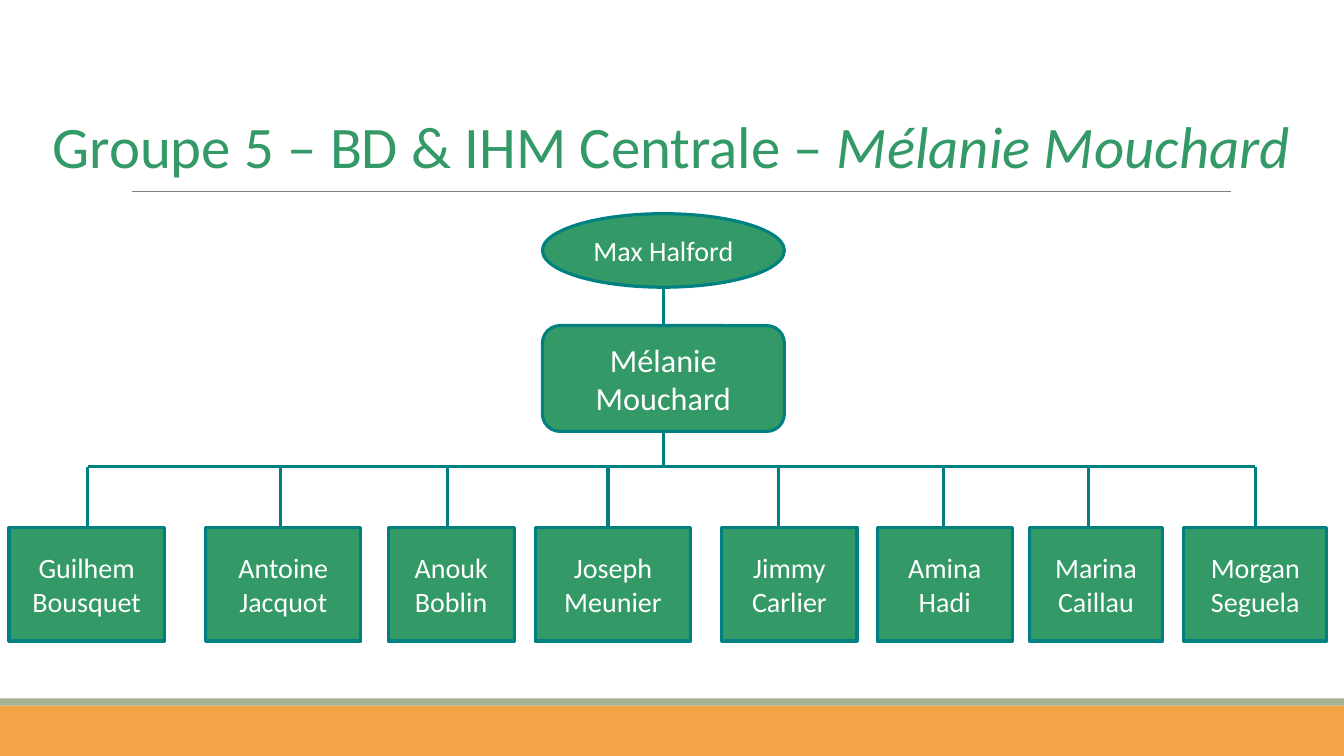
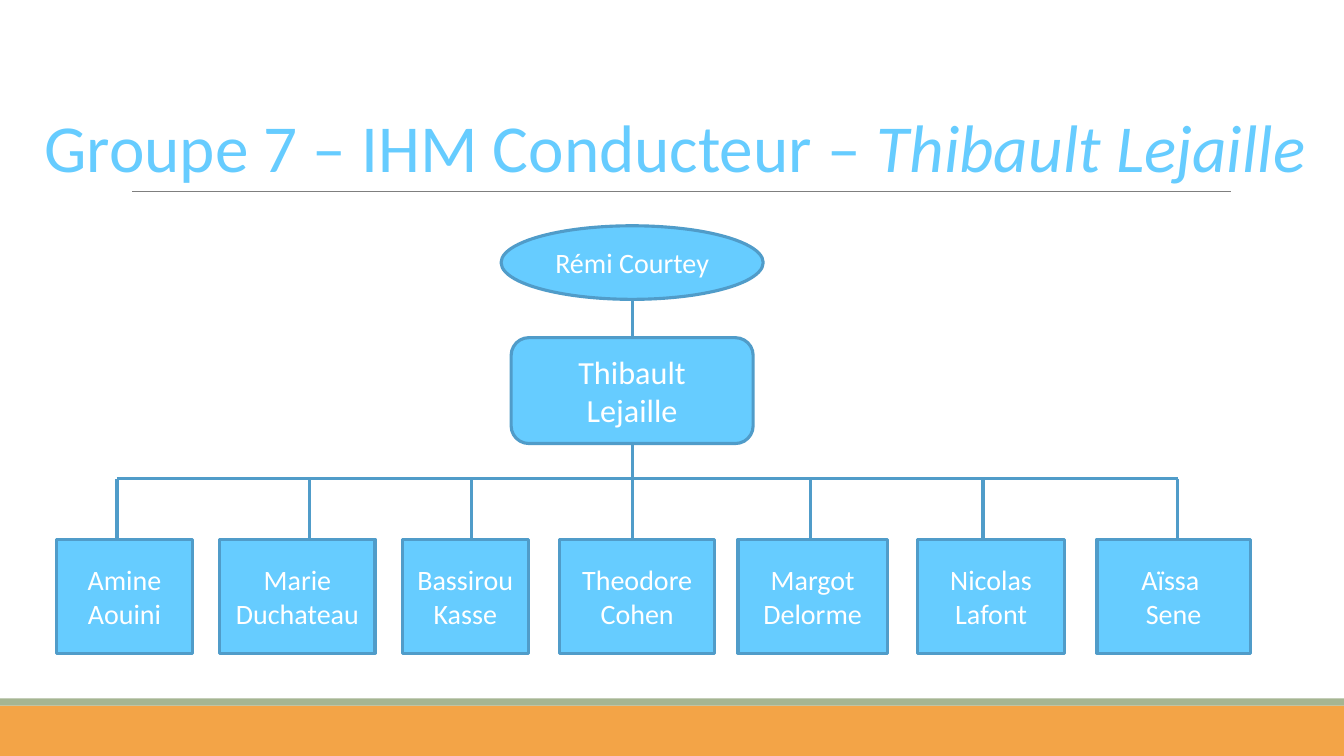
"""Build two team organisation charts that share one slide style."""
from lxml.etree import SubElement
from pptx import Presentation
from pptx.dml.color import RGBColor
from pptx.enum.shapes import MSO_CONNECTOR as Connector, MSO_SHAPE as Preset
from pptx.enum.text import MSO_ANCHOR as Anchor, MSO_AUTO_SIZE as AutoSize, PP_ALIGN as Align
from pptx.oxml.ns import qn
from pptx.util import Inches, Pt

COLORS = {
    "band": "F3A447",
    "stripe": "A5B592",
    "rule": "7F7F7F",
    "text": "FFFFFF",
    "green": "339966",
    "teal": "008080",
    "sky": "66CCFF",
    "steel": "509CC9",
}
FONT = "Calibri"
SLIDE_WIDTH, SLIDE_HEIGHT = 13.33, 7.5
SPONSOR_HEIGHT = 0.73
LEAD_WIDTH, LEAD_HEIGHT = 2.4, 1.05
MEMBER_HEIGHT = 1.13
LEAD_DROP, BUS_DROP, MEMBER_DROP = 1.11, 2.51, 3.11

TEAMS = [
    {
        "title": "Groupe 5 – BD & IHM Centrale – ",
        "title_box": (0.42, 0.84, 12.68, 1),
        "title_size": 42,
        "manager": "Mélanie Mouchard",
        "fill": "green",
        "line": "teal",
        "axis": 6.58,
        "top": 2.12,
        "sponsor": "Max Halford",
        "sponsor_width": 2.4,
        "lead": "Mélanie Mouchard",
        "members": [
            ("Guilhem Bousquet", 0.09, 1.54, 0.87),
            ("Antoine Jacquot", 2.04, 1.54, 2.78),
            ("Anouk Boblin", 3.85, 1.25, 4.44),
            ("Joseph Meunier", 5.31, 1.54, 6.03),
            ("Jimmy Carlier", 7.16, 1.34, 7.72),
            ("Amina Hadi", 8.7, 1.34, 9.36),
            ("Marina Caillau", 10.21, 1.32, 10.8),
            ("Morgan Seguela", 11.74, 1.42, 12.45),
        ],
    },
    {
        "title": "Groupe 7 – IHM Conducteur – ",
        "title_box": (0.34, 0.31, 12.84, 1.59),
        "title_size": 48,
        "manager": "Thibault Lejaille",
        "fill": "sky",
        "line": "steel",
        "axis": 6.27,
        "top": 2.24,
        "sponsor": "Rémi Courtey",
        "sponsor_width": 2.6,
        "lead": "Thibault\nLejaille",
        "members": [
            ("Amine Aouini", 0.56, 1.35, 1.16),
            ("Marie Duchateau", 2.18, 1.54, 3.07),
            ("Bassirou\nKasse", 3.99, 1.25, 4.68),
            ("Theodore Cohen", 5.55, 1.54, 6.27),
            ("Margot Delorme", 7.32, 1.48, 8.04),
            ("Nicolas Lafont", 9.1, 1.46, 9.75),
            ("Aïssa \nSene", 10.88, 1.52, 11.68),
        ],
    },
]


def rgb(color):
    return RGBColor.from_string(COLORS[color])


def write(paragraph, text, size=20, color="text", italic=False):
    run = paragraph.add_run()
    run.text = text
    run.font.name = FONT
    run.font.size = Pt(size)
    run.font.italic = italic
    run.font.color.rgb = rgb(color)


class Deck:
    def __init__(self):
        self.presentation = Presentation()
        self.presentation.slide_width = Inches(SLIDE_WIDTH)
        self.presentation.slide_height = Inches(SLIDE_HEIGHT)
        self.slide = None

    def open_slide(self):
        self.slide = self.presentation.slides.add_slide(self.presentation.slide_layouts[5])
        self.block(Preset.RECTANGLE, (0, 7, SLIDE_WIDTH, 0.5), "band")
        self.block(Preset.RECTANGLE, (0, 6.93, SLIDE_WIDTH, 0.07), "stripe")
        self.link((1.31, 1.9), (12.21, 1.9), "rule", 0.75)

    def title(self, text, manager, box, size, color):
        heading = self.slide.shapes.title
        heading.left, heading.top, heading.width, heading.height = map(Inches, box)
        frame = heading.text_frame
        frame.auto_size = AutoSize.NONE
        frame.word_wrap = True
        frame.vertical_anchor = Anchor.BOTTOM
        paragraph = frame.paragraphs[0]
        paragraph.alignment = Align.LEFT
        paragraph.line_spacing = 0.85
        write(paragraph, text, size=size, color=color)
        write(paragraph, manager, size=size, color=color, italic=True)

    def block(self, preset, box, fill, line=None):
        block = self.slide.shapes.add_shape(preset, *map(Inches, box))
        block.shadow.inherit = False
        block.fill.solid()
        block.fill.fore_color.rgb = rgb(fill)
        if line:
            block.line.color.rgb = rgb(line)
            block.line.width = Pt(2.25)
        else:
            block.line.fill.background()
        return block

    def person(self, name, preset, box, fill, line, size=20):
        frame = self.block(preset, box, fill, line).text_frame
        frame.word_wrap = True
        frame.vertical_anchor = Anchor.MIDDLE
        for index, part in enumerate(name.split("\n")):
            paragraph = frame.add_paragraph() if index else frame.paragraphs[0]
            paragraph.alignment = Align.CENTER
            write(paragraph, part, size=size)

    def link(self, start, end, color, weight=2.25):
        link = self.slide.shapes.add_connector(Connector.STRAIGHT, *map(Inches, start + end))
        link.line.color.rgb = rgb(color)
        link.line.width = Pt(weight)
        SubElement(link.element.find(qn("p:spPr")), qn("a:effectLst"))

    def team(self, team):
        fill, line, axis, top = (team[key] for key in ("fill", "line", "axis", "top"))
        bus, row = top + BUS_DROP, top + MEMBER_DROP
        stubs = [member[-1] for member in team["members"]]
        self.open_slide()
        self.title(team["title"], team["manager"], team["title_box"], team["title_size"], fill)
        self.link((axis, top + SPONSOR_HEIGHT), (axis, bus), line)
        self.link((stubs[0], bus), (stubs[-1], bus), line)
        for stub in stubs:
            self.link((stub, bus), (stub, row), line)
        width = team["sponsor_width"]
        sponsor_box = (axis - width / 2, top, width, SPONSOR_HEIGHT)
        self.person(team["sponsor"], Preset.OVAL, sponsor_box, fill, line)
        lead_box = (axis - LEAD_WIDTH / 2, top + LEAD_DROP, LEAD_WIDTH, LEAD_HEIGHT)
        self.person(team["lead"], Preset.ROUNDED_RECTANGLE, lead_box, fill, line, size=23)
        for name, left, width, _ in team["members"]:
            self.person(name, Preset.RECTANGLE, (left, row, width, MEMBER_HEIGHT), fill, line)


def main():
    deck = Deck()
    for team in TEAMS:
        deck.team(team)
    deck.presentation.save("out.pptx")


if __name__ == "__main__":
    main()
